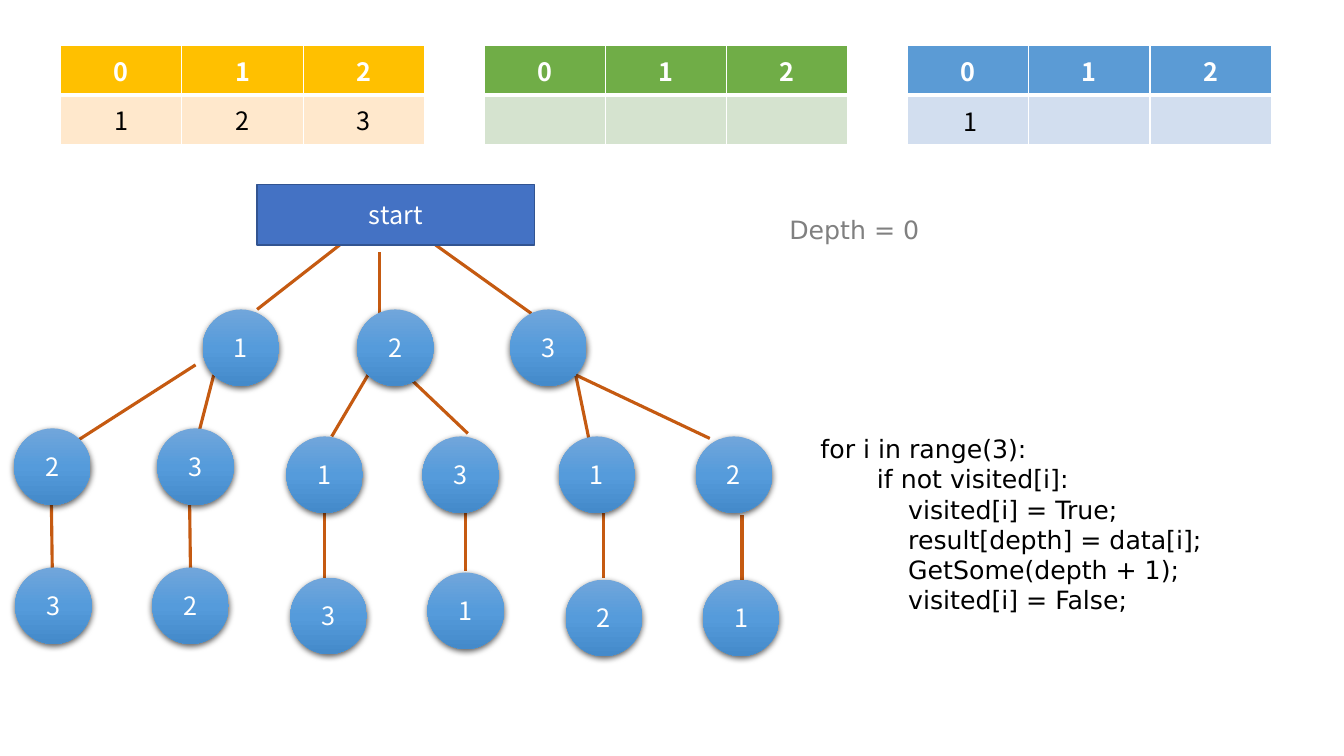
from lxml.etree import SubElement
from pptx import Presentation
from pptx.dml.color import RGBColor
from pptx.enum.shapes import MSO_CONNECTOR, MSO_SHAPE
from pptx.enum.text import MSO_ANCHOR, PP_ALIGN
from pptx.oxml import parse_xml
from pptx.oxml.ns import nsdecls, qn
from pptx.util import Inches, Pt

COLORS = {
    "white": "FFFFFF", "black": "000000", "gray": "808080",
    "data": "FFC000", "data_light": "FFE8CC",
    "visited": "70AD47", "visited_light": "D5E3CF",
    "result": "5B9BD5", "result_light": "D2DEEF",
    "branch": "C55A11", "start": "4472C4", "start_edge": "325491",
    "node_top": "71A6DB", "node_middle": "559BDB", "node_bottom": "448ACA",
}
LABEL_FONT = "Noto Sans CJK KR"
CODE_FONT = "DejaVu Sans"
NODE_SIZE = 0.76

# Name, left edge, second-row values
ARRAYS = [
    ("data", 0.6, ["1", "2", "3"]),
    ("visited", 4.8, ["", "", ""]),
    ("result", 9, ["", "", ""]),
]
# Left, top, label; one list per tree level
NODE_LEVELS = [
    [(2.01, 3.07, "1"), (3.54, 3.07, "2"), (5.06, 3.07, "3")],
    [(0.14, 4.25, "2"), (1.56, 4.25, "3"), (2.84, 4.33, "1"),
     (4.19, 4.33, "3"), (5.54, 4.33, "1"), (6.9, 4.33, "2")],
    [(0.15, 5.63, "3"), (1.51, 5.63, "2"), (2.88, 5.73, "3"),
     (4.24, 5.68, "1"), (5.61, 5.75, "2"), (6.97, 5.75, "1")],
]
# x and y of the upper end, then of the lower end; one list per tree level
BRANCH_LEVELS = [
    [(3.37, 2.43, 2.55, 3.07), (3.76, 2.5, 3.76, 3.18), (4.32, 2.43, 5.27, 3.11)],
    [(1.94, 3.62, 0.77, 4.37), (2.12, 3.72, 1.97, 4.3), (3.65, 3.72, 3.29, 4.33),
     (4.02, 3.71, 4.64, 4.3), (5.71, 3.72, 5.84, 4.35), (5.71, 3.72, 7.04, 4.35)],
    [(0.51, 5.01, 0.52, 5.75), (1.88, 4.95, 1.89, 5.69), (3.22, 5.09, 3.22, 5.73),
     (4.62, 5.01, 4.62, 5.66), (5.99, 5.09, 5.99, 5.73), (7.36, 5.11, 7.36, 5.75)],
]
# Indent in inches, code line
CODE = [
    (0.08, "for i in range(3):"),
    (0.64, "if not visited[i]:"),
    (0.95, "visited[i] = True;"),
    (0.95, "result[depth] = data[i];"),
    (0.95, "GetSome(depth + 1);"),
    (0.95, "visited[i] = False;"),
]


def rgb(name):
    return RGBColor.from_string(COLORS[name])


def add_run(paragraph, text, color, font=LABEL_FONT, bold=False):
    run = paragraph.add_run()
    run.text = text
    run.font.name, run.font.size, run.font.bold = font, Pt(18), bold
    run.font.color.rgb = rgb(color)


def add_centered(frame, text, color, bold=False):
    paragraph = frame.paragraphs[0]
    paragraph.alignment = PP_ALIGN.CENTER
    add_run(paragraph, text, color, bold=bold)


def set_borders(cell, top, bottom):
    """Draw white cell edges, one point wide at the sides."""
    properties = cell._tc.get_or_add_tcPr()
    for edge, width in (("lnL", 1), ("lnR", 1), ("lnT", top), ("lnB", bottom)):
        line = SubElement(properties, qn(f"a:{edge}"), w=str(Pt(width)))
        fill = SubElement(line, qn("a:solidFill"))
        SubElement(fill, qn("a:srgbClr"), val=COLORS["white"])


def add_array(slide, name, left, values):
    """Add a table with the indices 0 to 2 above their values."""
    table = slide.shapes.add_table(
        2, 3, Inches(left), Inches(0.45), Inches(3.61), Inches(0.98)).table
    table.horz_banding = False
    rows = [
        (["0", "1", "2"], name, "white", True, 1, 3),
        (values, f"{name}_light", "black", False, 3, 1),
    ]
    for r, (texts, fill, color, bold, top, bottom) in enumerate(rows):
        for c, text in enumerate(texts):
            cell = table.cell(r, c)
            cell.vertical_anchor = MSO_ANCHOR.MIDDLE
            set_borders(cell, top, bottom)
            cell.fill.solid()
            cell.fill.fore_color.rgb = rgb(fill)
            if text:
                add_centered(cell.text_frame, text, color, bold)


def add_branch(slide, x1, y1, x2, y2):
    branch = slide.shapes.add_connector(
        MSO_CONNECTOR.STRAIGHT, Inches(x1), Inches(y1), Inches(x2), Inches(y2))
    branch.line.color.rgb = rgb("branch")
    branch.line.width = Pt(2.25)
    SubElement(branch._element.spPr, qn("a:effectLst"))


def add_label_shape(slide, kind, left, top, width, height, label):
    shape = slide.shapes.add_shape(
        kind, Inches(left), Inches(top), Inches(width), Inches(height))
    shape.shadow.inherit = False
    shape.text_frame.vertical_anchor = MSO_ANCHOR.MIDDLE
    add_centered(shape.text_frame, label, "white")
    return shape


def add_node(slide, left, top, label):
    """Add a tree node with a vertical gradient and a soft shadow."""
    node = add_label_shape(
        slide, MSO_SHAPE.OVAL, left, top, NODE_SIZE, NODE_SIZE, label)
    node.line.fill.background()
    stops = "".join(
        f'<a:gs pos="{position}"><a:srgbClr val="{COLORS[name]}"/></a:gs>'
        for position, name in
        ((0, "node_top"), (50000, "node_middle"), (100000, "node_bottom")))
    properties = node._element.spPr
    properties.find(qn("a:prstGeom")).addnext(parse_xml(
        f'<a:gradFill {nsdecls("a")} rotWithShape="1"><a:gsLst>{stops}</a:gsLst>'
        '<a:lin ang="5400000" scaled="0"/></a:gradFill>'))
    properties.find(qn("a:effectLst")).append(parse_xml(
        f'<a:outerShdw {nsdecls("a")} blurRad="{Pt(4.5)}" dist="{Pt(1.5)}" '
        f'dir="5400000" algn="ctr" rotWithShape="0"><a:srgbClr val="{COLORS["black"]}">'
        '<a:alpha val="63000"/></a:srgbClr></a:outerShdw>'))


def add_start(slide):
    start = add_label_shape(
        slide, MSO_SHAPE.RECTANGLE, 2.55, 1.83, 2.75, 0.6, "start")
    start.fill.solid()
    start.fill.fore_color.rgb = rgb("start")
    start.line.color.rgb = rgb("start_edge")
    start.line.width = Pt(1)


def add_text_frame(slide, left, top, width, height, wrap=False):
    frame = slide.shapes.add_textbox(
        Inches(left), Inches(top), Inches(width), Inches(height)).text_frame
    frame.word_wrap = wrap
    return frame


def add_code(slide):
    frame = add_text_frame(slide, 7.96, 4.25, 4.76, 1.92, wrap=True)
    for number, (indent, text) in enumerate(CODE):
        paragraph = frame.add_paragraph() if number else frame.paragraphs[0]
        properties = paragraph._p.get_or_add_pPr()
        properties.set("marL", str(Inches(indent)))
        properties.set("indent", "0")
        add_run(paragraph, text, "black", CODE_FONT)


def main():
    presentation = Presentation()
    presentation.slide_width = Inches(13.33)
    presentation.slide_height = Inches(7.5)
    slide = presentation.slides.add_slide(presentation.slide_layouts[6])

    for name, left, values in ARRAYS:
        add_array(slide, name, left, values)
    first_result = add_text_frame(slide, 9.46, 1.01, 0.34, 0.4)
    add_centered(first_result, "1", "black")

    for level in BRANCH_LEVELS:
        for ends in level:
            add_branch(slide, *ends)
    for level in NODE_LEVELS:
        for left, top, label in level:
            add_node(slide, left, top, label)
    add_start(slide)

    add_code(slide)
    depth = add_text_frame(slide, 7.73, 2.08, 1.51, 0.4)
    add_run(depth.paragraphs[0], "Depth = 0", "gray", CODE_FONT)
    presentation.save("out.pptx")


if __name__ == "__main__":
    main()
